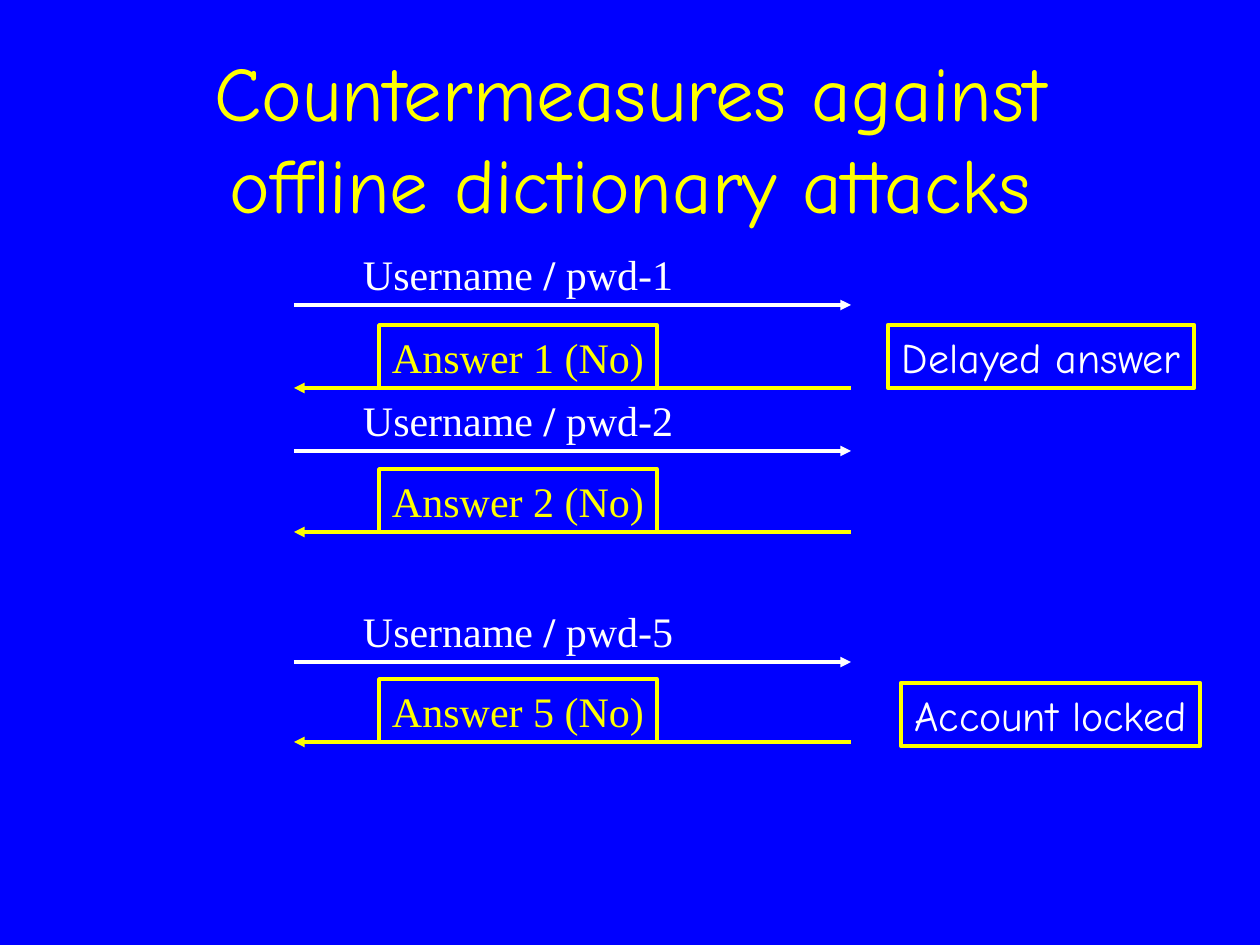
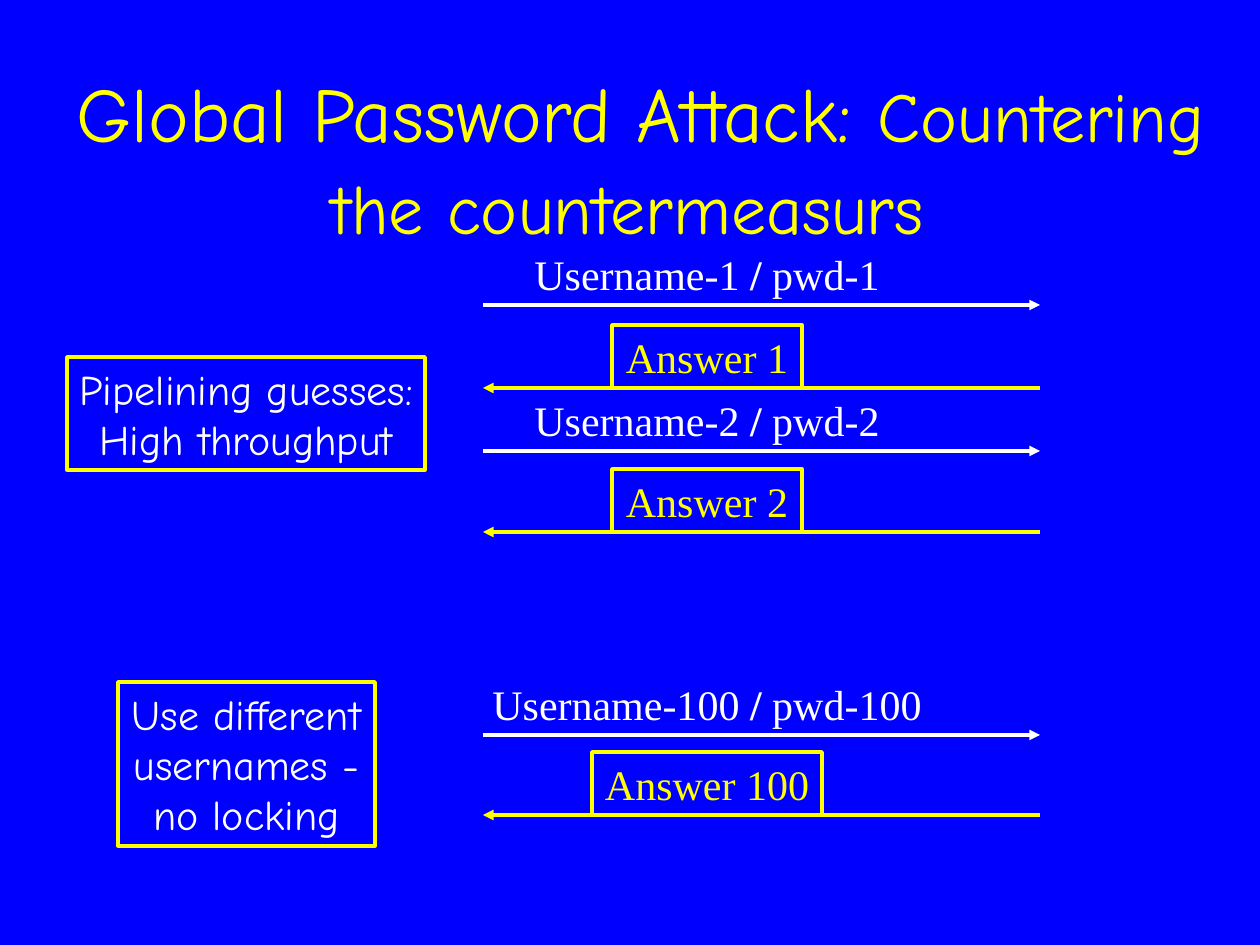
from pptx import Presentation
from pptx.dml.color import RGBColor
from pptx.enum.shapes import MSO_CONNECTOR as Connector, MSO_SHAPE as Preset
from pptx.enum.text import MSO_ANCHOR as Anchor, MSO_AUTO_SIZE as AutoSize, PP_ALIGN as Align
from pptx.oxml.ns import qn
from pptx.util import Pt
from lxml.etree import SubElement

PX = 914400 / 126
BLUE, YELLOW, WHITE = "0000FF", "FFFF00", "FFFFFF"
HAND, SERIF = "Comic Neue", "Times New Roman"
ARROW_LENGTH, LABEL_OFFSET, LABEL_HEIGHT = 557, 224, 63


def px(*lengths):
    return [round(length * PX) for length in lengths]


def write(shape, lines, font, color, **frame_format):
    frame = shape.text_frame
    for name, value in frame_format.items():
        setattr(frame, name, value)
    for index, spans in enumerate(lines):
        para = frame.add_paragraph() if index else frame.paragraphs[0]
        para.alignment = Align.CENTER
        for text, size, bold in spans:
            span = para.add_run()
            span.text = text
            for name, value in {"name": font, "size": Pt(size), "bold": bold}.items():
                setattr(span.font, name, value)
            span.font.color.rgb = RGBColor.from_string(color)


pages = [
    {
        "title": [("Countermeasures against offline dictionary attacks", 44, False)],
        "title_area": (95, 53, 1071, 168),
        "left": 294,
        "requests": [
            (305, 344, "Username ", " pwd-1"),
            (451, 344, "Username ", " pwd-2"),
            (662, 344, "Username ", " pwd-5"),
        ],
        "answers": [
            (388, 278, "Answer 1 (No)"),
            (532, 278, "Answer 2 (No)"),
            (742, 278, "Answer 5 (No)"),
        ],
        "note_border": 2.5,
        "notes": [
            ((888, 325, 306, 63), ["Delayed answer"]),
            ((901, 683, 299, 63), ["Account locked"]),
        ],
    },
    {
        "title": [
            ("Global Password Attack: ", 44, False),
            ("Countering the countermeasurs", 40, False),
            (" ", 44, False),
        ],
        "title_area": (63, 74, 1155, 168),
        "left": 483,
        "requests": [
            (305, 380, "Username-1 ", " pwd-1"),
            (451, 380, "Username-2 ", " pwd-2"),
            (735, 464, "Username-100 ", " pwd-100"),
        ],
        "answers": [
            (388, 190, "Answer 1"),
            (532, 190, "Answer 2"),
            (815, 230, "Answer 100"),
        ],
        "note_border": 2,
        "notes": [
            ((67, 357, 358, 113), ["Pipelining guesses:", "High throughput"]),
            ((118, 682, 257, 164), ["Use different", "usernames -", "no locking"]),
        ],
    },
]

label_format = {
    "word_wrap": False,
    "auto_size": AutoSize.SHAPE_TO_FIT_TEXT,
    "vertical_anchor": Anchor.TOP,
}
title_format = {
    "word_wrap": True,
    "auto_size": AutoSize.NONE,
    "vertical_anchor": Anchor.MIDDLE,
}

deck = Presentation()
deck.slide_width, deck.slide_height = px(1260, 945)
backdrop = deck.slide_master.background.fill
backdrop.solid()
backdrop.fore_color.rgb = RGBColor.from_string(BLUE)

for content in pages:
    page = deck.slides.add_slide(deck.slide_layouts[5])
    title = page.shapes.title
    title.left, title.top, title.width, title.height = px(*content["title_area"])
    write(title, [content["title"]], HAND, YELLOW, **title_format)

    left = content["left"]
    center = left + LABEL_OFFSET
    arrows = [(y, WHITE, "a:tailEnd") for y, *_ in content["requests"]]
    arrows += [(y, YELLOW, "a:headEnd") for y, *_ in content["answers"]]
    for y, color, arrow_end in arrows:
        arrow = page.shapes.add_connector(
            Connector.STRAIGHT, *px(left, y, left + ARROW_LENGTH, y)
        )
        arrow.line.width = Pt(2)
        arrow.line.color.rgb = RGBColor.from_string(color)
        SubElement(arrow.line._get_or_add_ln(), qn(arrow_end), type="triangle")
        SubElement(arrow._element.spPr, qn("a:effectLst"))

    for y, width, user, password in content["requests"]:
        area = px(center - width / 2, y - LABEL_HEIGHT, width, LABEL_HEIGHT)
        label = page.shapes.add_textbox(*area)
        spans = [(user, 24, False), ("/", 24, True), (password, 24, False)]
        write(label, [spans], SERIF, WHITE, **label_format)

    boxes = [
        ((center - width / 2, y - LABEL_HEIGHT, width, LABEL_HEIGHT), [text], SERIF, YELLOW, 2)
        for y, width, text in content["answers"]
    ]
    boxes += [
        (area, lines, HAND, WHITE, content["note_border"])
        for area, lines in content["notes"]
    ]
    for area, lines, font, color, border in boxes:
        box = page.shapes.add_shape(Preset.RECTANGLE, *px(*area))
        box.shadow.inherit = False
        box.fill.background()
        box.line.width = Pt(border)
        box.line.color.rgb = RGBColor.from_string(YELLOW)
        write(box, [[(line, 24, False)] for line in lines], font, color, **label_format)

deck.save("out.pptx")
